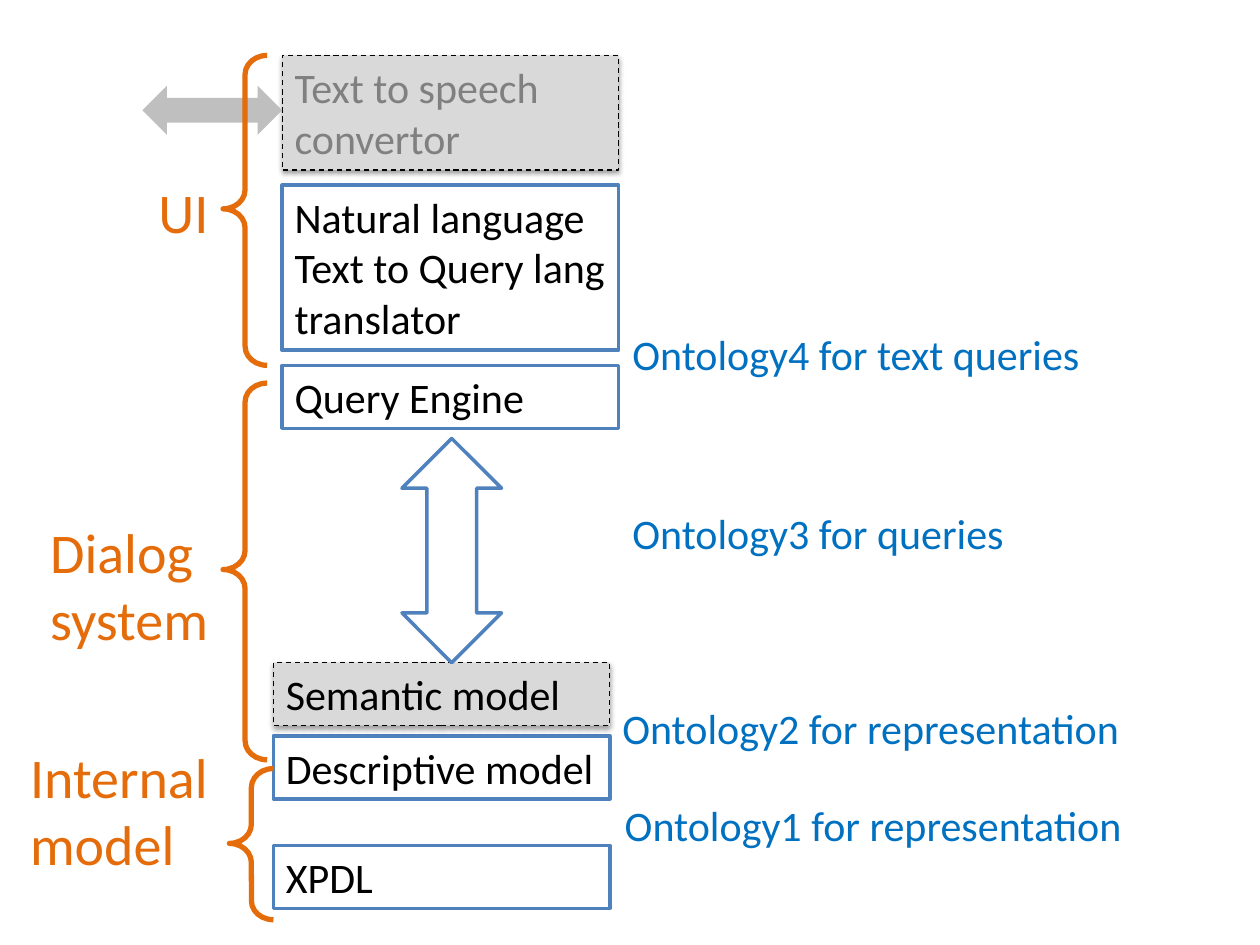
from lxml.etree import SubElement
from pptx import Presentation
from pptx.dml.color import RGBColor
from pptx.enum.dml import MSO_LINE
from pptx.enum.shapes import MSO_SHAPE
from pptx.enum.text import MSO_ANCHOR, MSO_AUTO_SIZE, PP_ALIGN
from pptx.oxml.ns import qn
from pptx.util import Inches, Pt

COLORS = {
    "white": "FFFFFF", "black": "000000", "blue": "4F81BD", "ontology": "0070C0",
    "orange": "E46C0A", "pale": "D9D9D9", "silver": "BFBFBF", "gray": "808080",
}

presentation = Presentation()
presentation.slide_width = Inches(10)
presentation.slide_height = Inches(7.5)
slide = presentation.slides.add_slide(presentation.slide_layouts[6])


def add_shape(kind, bounds, fill=None, line=None, width=2):
    shape = slide.shapes.add_shape(kind, *[Inches(value) for value in bounds])
    shape.shadow.inherit = False
    if fill:
        shape.fill.solid()
        shape.fill.fore_color.rgb = RGBColor.from_string(COLORS[fill])
    else:
        shape.fill.background()
    if line:
        shape.line.color.rgb = RGBColor.from_string(COLORS[line])
        shape.line.width = Pt(width)
    else:
        shape.line.fill.background()
    return shape


def write_text(shape, text, size, color, wrap):
    frame = shape.text_frame
    frame.text = text
    frame.word_wrap = wrap
    frame.auto_size = MSO_AUTO_SIZE.SHAPE_TO_FIT_TEXT
    frame.vertical_anchor = MSO_ANCHOR.TOP
    for paragraph in frame.paragraphs:
        paragraph.alignment = PP_ALIGN.LEFT
        paragraph.font.name = "Calibri"
        paragraph.font.size = Pt(size)
        paragraph.font.color.rgb = RGBColor.from_string(COLORS[color])


boxes = [
    ("XPDL", 2.17, 6.71, 0.5, False, "black"),
    ("Descriptive model", 2.17, 5.84, 0.5, False, "black"),
    ("Semantic model", 2.17, 5.26, 0.5, True, "black"),
    ("Query Engine", 2.24, 2.9, 0.5, False, "black"),
    ("Natural language Text to Query lang translator", 2.24, 1.47, 1.31, False, "black"),
    ("Text to speech convertor", 2.24, 0.44, 0.91, True, "gray"),
]
for text, left, top, height, planned, color in boxes:
    bounds = (left, top, 2.67, height)
    if planned:
        box = add_shape(MSO_SHAPE.RECTANGLE, bounds, "pale", "black", 0.75)
        box.line.dash_style = MSO_LINE.DASH
        effects = box._element.spPr.find(qn("a:effectLst"))
        shadow = SubElement(effects, qn("a:outerShdw"), blurRad=str(Pt(3.1)),
                            dist=str(Pt(1.6)), dir="5400000", rotWithShape="0")
        shadow_color = SubElement(shadow, qn("a:srgbClr"), val=COLORS["black"])
        SubElement(shadow_color, qn("a:alpha"), val="38000")
    else:
        box = add_shape(MSO_SHAPE.RECTANGLE, bounds, "white", "blue")
    write_text(box, text, 24, color, True)

add_shape(MSO_SHAPE.UP_DOWN_ARROW, (3.19, 3.48, 0.79, 1.78), "white", "blue")
add_shape(MSO_SHAPE.LEFT_RIGHT_ARROW, (1.13, 0.68, 1.11, 0.39), "silver")

labels = [
    ("Ontology1 for representation", 4.86, 6.3, 4.18, 0.5, 24, "ontology"),
    ("Ontology2 for representation", 4.84, 5.53, 4.18, 0.5, 24, "ontology"),
    ("Ontology3 for queries", 4.92, 3.98, 3.18, 0.5, 24, "ontology"),
    ("Ontology4 for text queries", 4.92, 2.56, 3.78, 0.5, 24, "ontology"),
    ("UI", 1.16, 1.36, 0.6, 0.64, 32, "orange"),
    ("Dialog\vsystem", 0.3, 4.06, 1.47, 1.18, 32, "orange"),
    ("Internal\nmodel", 0.14, 5.84, 1.63, 1.18, 32, "orange"),
]
for text, left, top, width, height, size, color in labels:
    label = slide.shapes.add_textbox(Inches(left), Inches(top), Inches(width), Inches(height))
    write_text(label, text, size, color, False)

for left, top, height in [(1.77, 0.44, 2.46), (1.77, 3.04, 2.99), (1.82, 6.1, 1.2)]:
    brace = add_shape(MSO_SHAPE.LEFT_BRACE, (left, top, 0.35, height), line="orange", width=3)
    brace.adjustments[0] = 0.43
    brace.adjustments[1] = 0.495

presentation.save("out.pptx")
